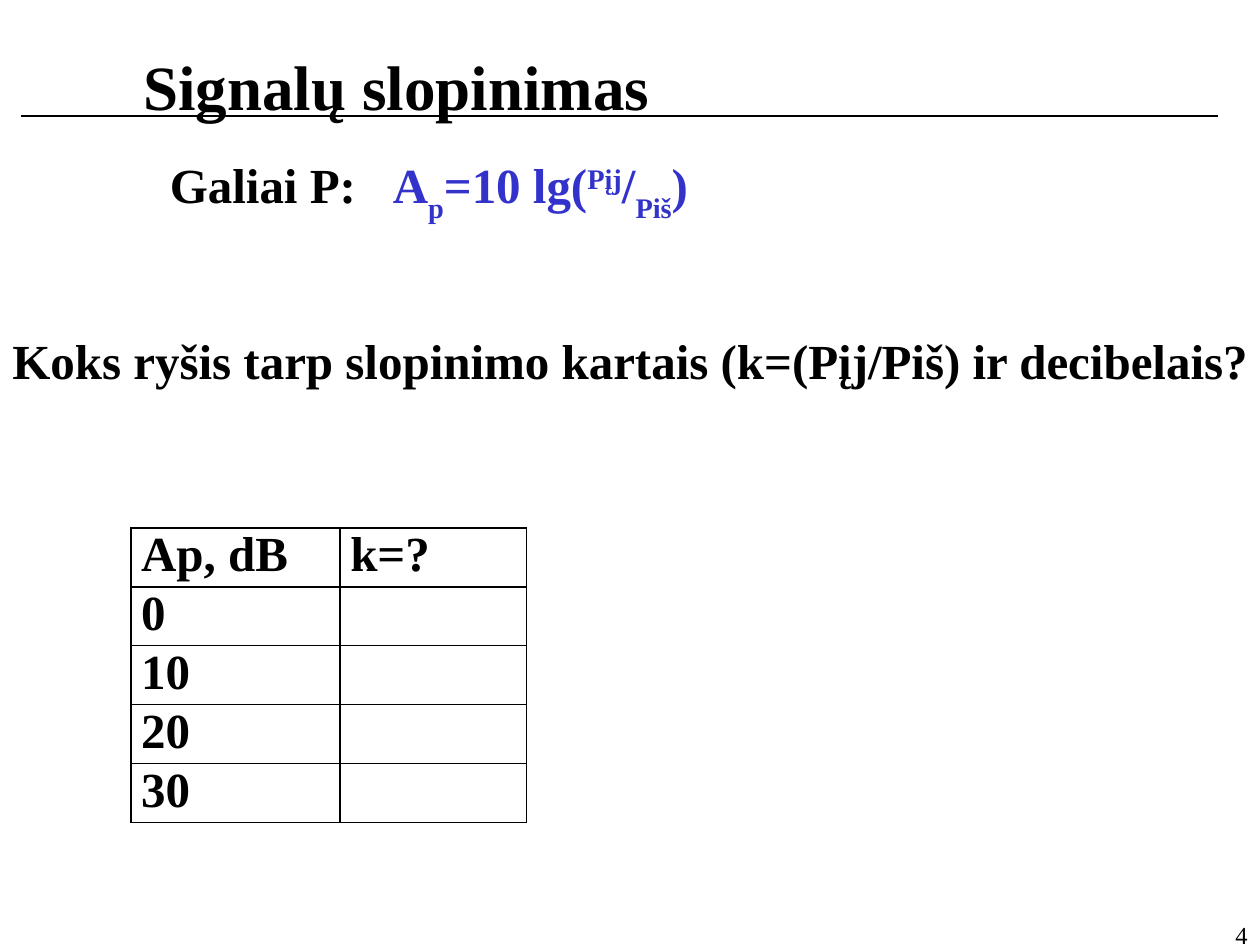
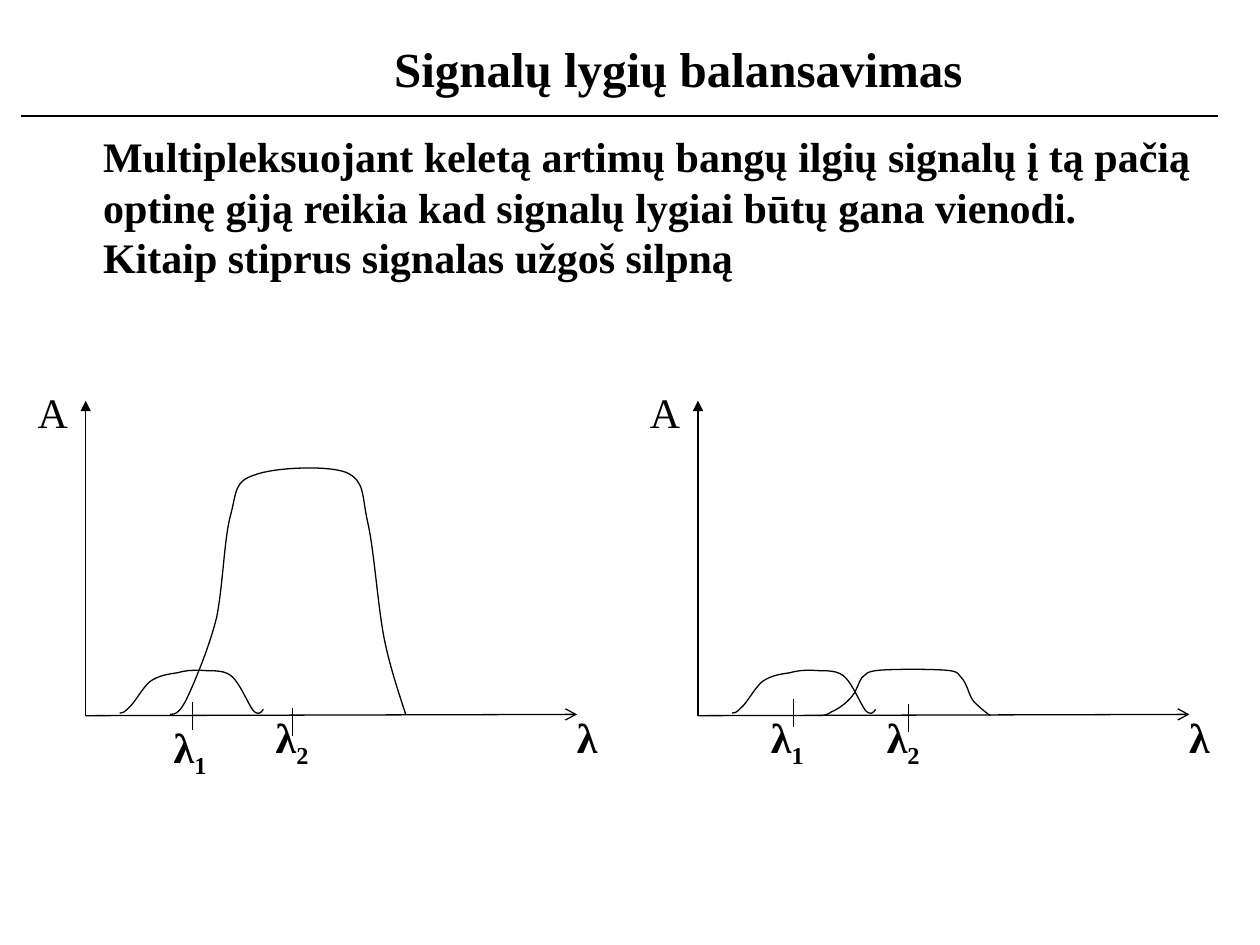
from lxml import etree
from pptx import Presentation
from pptx import util as u
from pptx.dml.color import RGBColor
from pptx.enum import shapes, text
from pptx.oxml import ns

FONT = "Times New Roman"
BLACK, BLUE, WHITE = "000000", "3333CC", "FFFFFF"
HAIRLINE = 0.75

ATTENUATION = "Signalų slopinimas"
FORMULA = [("Galiai P:   ", BLACK, 0), ("A", BLUE, 0), ("p", BLUE, -30),
           ("=10 lg(", BLUE, 0), ("Pįj", BLUE, 30), ("/", BLUE, 0),
           ("Piš", BLUE, -30), (")", BLUE, 0)]
QUESTION = "Koks ryšis tarp slopinimo kartais (k=(Pįj/Piš) ir decibelais?"
RATIOS = [("Ap, dB", "k=?"), ("0", ""), ("10", ""), ("20", ""), ("30", "")]
COL_WIDTHS = (1.66, 1.48)
TABLE_HEIGHT = 2.33
PAGE = "4"

BALANCING = "Signalų lygių balansavimas"
EXPLANATION = ["Multipleksuojant keletą artimų bangų ilgių signalų į tą pačią",
               "optinę giją reikia kad signalų lygiai būtų gana vienodi.",
               "Kitaip stiprus signalas užgoš silpną"]

AXIS_TOP, AXIS_BOTTOM, AXIS_LENGTH = 3.18, 5.68, 3.9
TICK = 0.22
WEAK = [(0.27, 5.66), (0.29, 5.66), (0.3, 5.66), (0.34, 5.62),
        (0.39, 5.58), (0.45, 5.46), (0.51, 5.41),
        (0.58, 5.36), (0.66, 5.35), (0.73, 5.34),
        (0.8, 5.32), (0.84, 5.32), (0.91, 5.32),
        (0.98, 5.33), (1.08, 5.31), (1.15, 5.36),
        (1.22, 5.41), (1.29, 5.59), (1.33, 5.64),
        (1.37, 5.68), (1.39, 5.66), (1.41, 5.63)]
STRONG = [(0.67, 5.67), (0.71, 5.67), (0.75, 5.66), (0.81, 5.53),
          (0.87, 5.4), (0.98, 5.14), (1.04, 4.9),
          (1.09, 4.65), (1.1, 4.27), (1.15, 4.09),
          (1.2, 3.9), (1.18, 3.82), (1.34, 3.77),
          (1.49, 3.71), (1.92, 3.69), (2.07, 3.75),
          (2.22, 3.82), (2.19, 3.93), (2.24, 4.15),
          (2.29, 4.37), (2.32, 4.82), (2.37, 5.07),
          (2.42, 5.32), (2.51, 5.57), (2.54, 5.67)]
LEVELLED = [(0.96, 5.68), (0.99, 5.68), (1.02, 5.68), (1.06, 5.65),
            (1.11, 5.63), (1.18, 5.58), (1.22, 5.53),
            (1.26, 5.49), (1.27, 5.42), (1.3, 5.38),
            (1.34, 5.35), (1.33, 5.33), (1.44, 5.32),
            (1.55, 5.31), (1.86, 5.31), (1.97, 5.32),
            (2.08, 5.33), (2.06, 5.35), (2.1, 5.39),
            (2.14, 5.44), (2.15, 5.52), (2.19, 5.57),
            (2.23, 5.61), (2.29, 5.66), (2.32, 5.68)]
UNBALANCED = {"left": 0.68, "curves": [WEAK, STRONG],
              "ticks": [(0.85, 5.57), (1.64, 5.62)],
              "lambdas": [("1", 0.6, 5.68), ("2", 1.41, 5.6)]}
BALANCED = {"left": 5.54, "curves": [WEAK, LEVELLED],
            "ticks": [(0.76, 5.55), (1.67, 5.59)],
            "lambdas": [("1", 0.48, 5.6), ("2", 1.4, 5.6)]}


def rgb(value):
    return RGBColor.from_string(value)


def style(p, size, bold=True):
    p.font.name, p.font.size, p.font.bold = FONT, u.Pt(size), bold
    p.font.color.rgb = rgb(BLACK)


def add_text(parent, at, paragraphs, size, bold=True, wrap=False, align=None,
             anchor=text.MSO_ANCHOR.TOP):
    tf = parent.add_textbox(*map(u.Inches, at)).text_frame
    tf.word_wrap, tf.vertical_anchor = wrap, anchor
    for i, runs in enumerate(paragraphs):
        p = tf.add_paragraph() if i else tf.paragraphs[0]
        if align is not None:
            p.alignment = align
        style(p, size, bold)
        for words, color, baseline in runs:
            r = p.add_run()
            r.text = words
            if color != BLACK:
                r.font.color.rgb = rgb(color)
            if baseline:
                r._r.get_or_add_rPr().set("baseline", str(baseline * 1000))


def plain(words):
    return [(words, BLACK, 0)]


def add_line(parent, x1, y1, x2, y2, arrow=None):
    c = parent.add_connector(shapes.MSO_CONNECTOR.STRAIGHT,
                             *map(u.Inches, (x1, y1, x2, y2)))
    c.line.color.rgb, c.line.width = rgb(BLACK), u.Pt(HAIRLINE)
    if arrow:
        etree.SubElement(c.line._get_or_add_ln(), ns.qn("a:tailEnd"), type=arrow)
    etree.SubElement(c._element.spPr, ns.qn("a:effectLst"))
    return c


def add_curve(parent, left, knots):
    points = [(u.Inches(left + x), u.Inches(y)) for x, y in knots]
    builder = parent.build_freeform(*points[0])
    builder.add_line_segments(points[1:], close=False)
    sp = builder.convert_to_shape()
    segments = list(sp._element.iter(ns.qn("a:lnTo")))
    outline = segments[0].getparent()
    for i in range(0, len(segments), 3):
        bend = etree.SubElement(outline, ns.qn("a:cubicBezTo"))
        for segment in segments[i:i + 3]:
            bend.append(segment[0])
            outline.remove(segment)
    sp.shadow.inherit = False
    sp.fill.background()
    sp.line.color.rgb, sp.line.width = rgb(BLACK), u.Pt(HAIRLINE)


def add_borders(cell):
    tcPr = cell._tc.get_or_add_tcPr()
    for i, side in enumerate(("lnL", "lnR", "lnT", "lnB")):
        ln = etree.Element(ns.qn("a:" + side), w=str(u.Pt(1)))
        fill = etree.SubElement(ln, ns.qn("a:solidFill"))
        etree.SubElement(fill, ns.qn("a:srgbClr"), val=BLACK)
        tcPr.insert(i, ln)


def add_ratio_table(s, left, top):
    frame = s.shapes.add_table(len(RATIOS), len(COL_WIDTHS), u.Inches(left), u.Inches(top),
                               u.Inches(sum(COL_WIDTHS)), u.Inches(TABLE_HEIGHT))
    table = frame.table
    table.first_row = table.horz_banding = False
    for column, width in zip(table.columns, COL_WIDTHS):
        column.width = u.Inches(width)
    for i, row in enumerate(RATIOS):
        for j, words in enumerate(row):
            cell = table.cell(i, j)
            cell.margin_left = cell.margin_right = u.Inches(0.08)
            cell.margin_top = cell.margin_bottom = 0
            cell.fill.background()
            add_borders(cell)
            cell.text = words
            style(cell.text_frame.paragraphs[0], 28)


def add_plot(parent, left, curves, ticks, lambdas):
    for knots in curves:
        add_curve(parent, left, knots)
    add_line(parent, left, AXIS_BOTTOM, left + AXIS_LENGTH, AXIS_BOTTOM - 0.01, "arrow")
    add_line(parent, left, AXIS_BOTTOM, left, AXIS_TOP, "triangle")
    add_text(parent, (left + 3.8, 5.6, 0.36, 0.5), [plain("λ")], 24)
    for index, x, y in lambdas:
        add_text(parent, (left + x, y, 0.47, 0.5),
                 [[("λ", BLACK, 0), (index, BLACK, -25)]], 24)
    for x, y in ticks:
        add_line(parent, left + x, y, left + x, y + TICK)


def add_amplitude_label(s, left):
    add_text(s.shapes, (left - 0.48, 3.02, 0.44, 0.5), [plain("A")], 24, bold=False)


def new_slide(prs, title, at, size, wrap):
    s = prs.slides.add_slide(prs.slide_layouts[6])
    add_text(s.shapes, at, [plain(title)], size, wrap=wrap)
    return s


def add_title_rule(s):
    rule = add_line(s.shapes, 0.17, 0.92, 9.67, 0.92)
    s.slide_layout.shapes._spTree.append(rule._element)


def main():
    prs = Presentation()
    prs.slide_width, prs.slide_height = u.Inches(10), u.Inches(7.5)
    background = prs.slide_master.background.fill
    background.solid()
    background.fore_color.rgb = rgb(WHITE)

    s = new_slide(prs, ATTENUATION, (1.04, 0.33, 8.17, 0.7), 36, True)
    add_title_rule(s)
    add_text(s.shapes, (1.25, 1.18, 7.35, 1.04), [FORMULA], 28, wrap=True)
    add_ratio_table(s, 1.04, 4.19)
    add_text(s.shapes, (0, 2.57, 10.12, 0.57), [plain(QUESTION)], 28,
             anchor=text.MSO_ANCHOR.MIDDLE)
    add_text(s.shapes, (7.92, 7.25, 2.08, 0.25), [plain(PAGE)], 14, bold=False, wrap=True,
             align=text.PP_ALIGN.RIGHT)

    s = new_slide(prs, BALANCING, (3.03, 0.26, 4.77, 0.57), 28, False)
    add_text(s.shapes, (0.72, 0.99, 9, 1.72), [plain(words) for words in EXPLANATION], 24)
    for plot in (UNBALANCED, BALANCED):
        add_amplitude_label(s, plot["left"])
    add_plot(s.shapes, **BALANCED)
    add_plot(s.shapes.add_group_shape().shapes, **UNBALANCED)

    prs.save("out.pptx")


if __name__ == "__main__":
    main()
